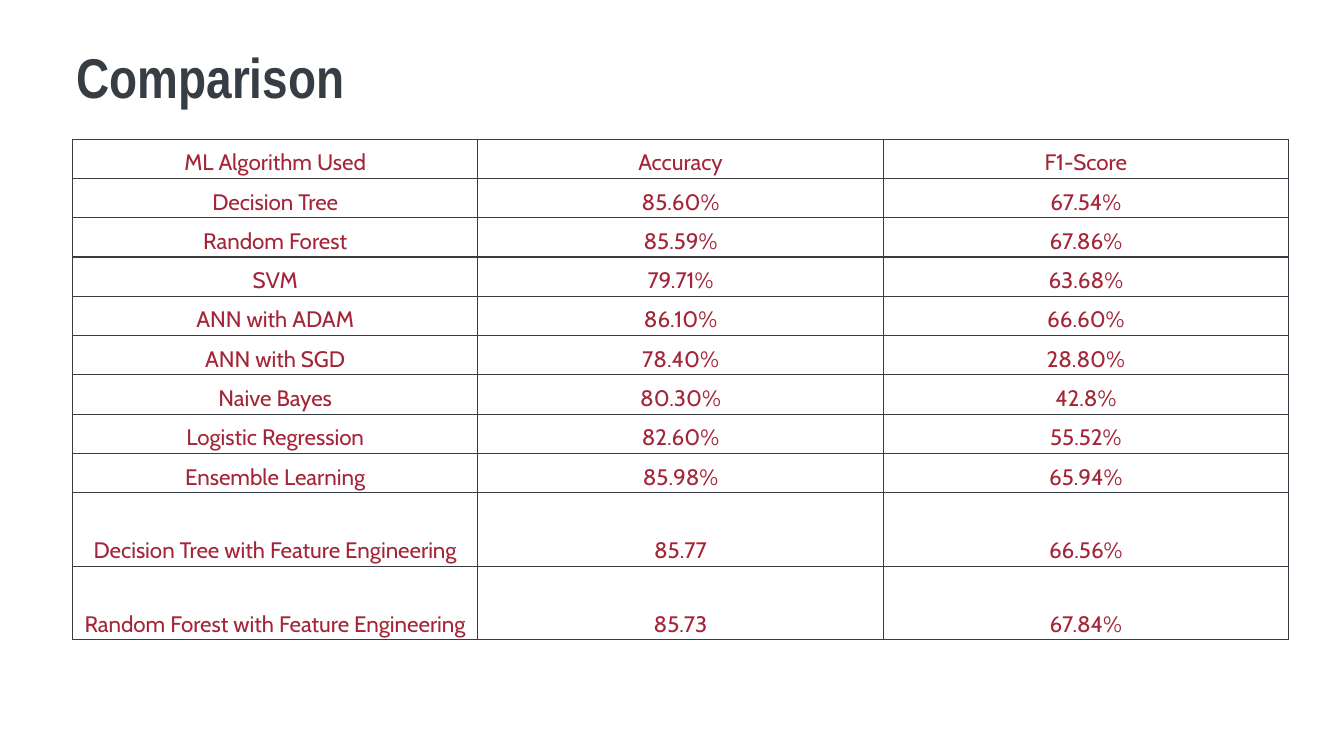
from lxml import etree
from pptx import Presentation
from pptx.dml.color import RGBColor
from pptx.enum.text import MSO_ANCHOR, PP_ALIGN
from pptx.oxml.ns import qn
from pptx.util import Pt

PX = 9144
CENTER = PP_ALIGN.CENTER
MIDDLE = MSO_ANCHOR.MIDDLE
BOTTOM = MSO_ANCHOR.BOTTOM
COLORS = {"title": "363D45", "border": "363D45", "cell": "A32537"}
COL_WIDTH = 402
ROW_HEIGHT = 39
TALL_ROW_HEIGHT = 73
TALL_ROWS = 2
RESULTS = [
    ("ML Algorithm Used", "Accuracy", "F1-Score"),
    ("Decision Tree", "85.60%", "67.54%"),
    ("Random Forest", "85.59%", "67.86%"),
    ("SVM", "79.71%", "63.68%"),
    ("ANN with ADAM", "86.10%", "66.60%"),
    ("ANN with SGD", "78.40%", "28.80%"),
    ("Naive Bayes", "80.30%", "42.8%"),
    ("Logistic Regression", "82.60%", "55.52%"),
    ("Ensemble Learning", "85.98%", "65.94%"),
    ("Decision Tree with Feature Engineering", "85.77", "66.56%"),
    ("Random Forest with Feature Engineering", "85.73", "67.84%"),
]


def px(n):
    return n * PX


def style_runs(p, font, size, color, bold=False):
    for r in p.runs:
        r.font.name = font
        r.font.size = Pt(size)
        r.font.bold = bold
        r.font.color.rgb = RGBColor.from_string(COLORS[color])


def add_title(s, text, left, top, width, height):
    tf = s.shapes.add_textbox(px(left), px(top), px(width), px(height)).text_frame
    tf.word_wrap = True
    tf.vertical_anchor = MIDDLE
    tf.margin_left = tf.margin_right = tf.margin_top = tf.margin_bottom = px(5)
    p = tf.paragraphs[0]
    p.text = text
    p.line_spacing = 0.9
    style_runs(p, "Arial Narrow", 40, "title", bold=True)


def set_borders(cell, color):
    tc_pr = cell._tc.get_or_add_tcPr()
    for i, side in enumerate(("lnL", "lnR", "lnT", "lnB")):
        ln = etree.Element(qn(f"a:{side}"), w=str(Pt(1)))
        fill = etree.SubElement(ln, qn("a:solidFill"))
        etree.SubElement(fill, qn("a:srgbClr"), val=COLORS[color])
        tc_pr.insert(i, ln)


def fill_cell(cell, text):
    cell.fill.background()
    cell.vertical_anchor = BOTTOM
    cell.margin_left = cell.margin_right = px(3)
    cell.margin_top = cell.margin_bottom = px(2)
    p = cell.text_frame.paragraphs[0]
    p.text = text
    p.alignment = CENTER
    style_runs(p, "Cabin", 16, "cell")
    set_borders(cell, "border")


def add_results_table(s, left, top):
    rows, cols = len(RESULTS), len(RESULTS[0])
    short_rows = rows - TALL_ROWS
    heights = [ROW_HEIGHT] * short_rows + [TALL_ROW_HEIGHT] * TALL_ROWS
    table = s.shapes.add_table(
        rows, cols, px(left), px(top), px(cols * COL_WIDTH), px(sum(heights))
    ).table
    table.first_row = False
    table.horz_banding = False
    for col in table.columns:
        col.width = px(COL_WIDTH)
    for i, (height, values) in enumerate(zip(heights, RESULTS)):
        table.rows[i].height = px(height)
        for j, text in enumerate(values):
            fill_cell(table.cell(i, j), text)


def main():
    prs = Presentation()
    prs.slide_width = px(1333)
    prs.slide_height = px(750)
    s = prs.slides.add_slide(prs.slide_layouts[6])
    add_title(s, "Comparison", 71, 40, 1171, 80)
    add_results_table(s, 72, 138)
    prs.save("out.pptx")


if __name__ == "__main__":
    main()
